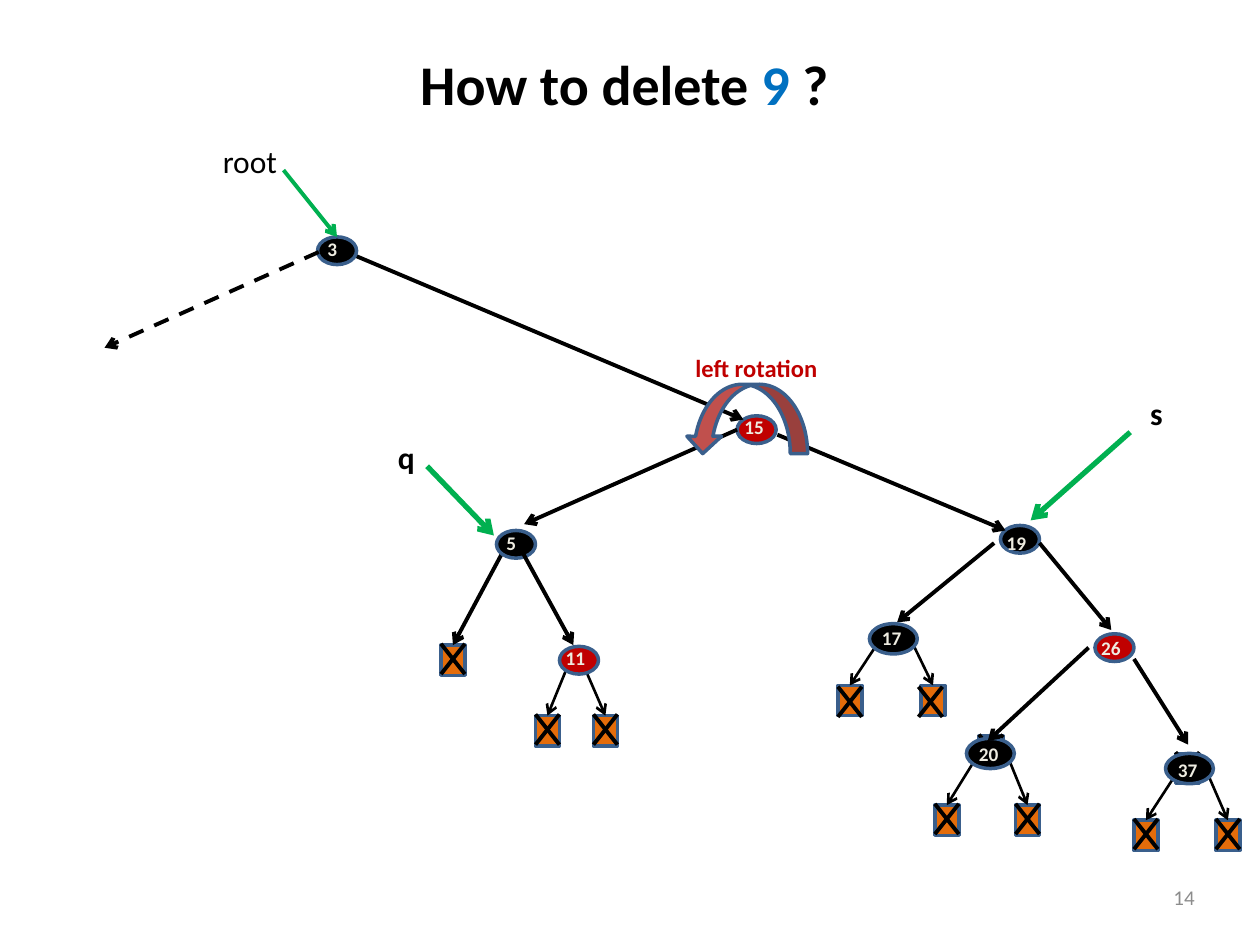
from pptx import Presentation
from pptx import util as u
from pptx.dml.color import RGBColor
from pptx.enum import dml, shapes, text
from pptx.oxml.ns import qn
from lxml import etree

COLORS = {
    "black": "000000", "red": "C00000", "outline": "3A5F8C", "leaf": "E46C0A",
    "label": "EEECE1", "pointer": "00B050", "rotation": "C0504D",
    "key": "0070C0", "page": "8C8C8C",
}
LEAF_W, LEAF_H = 0.19, 0.24

prs = Presentation()
prs.slide_width, prs.slide_height = u.Inches(10), u.Inches(7.5)
slide = prs.slides.add_slide(prs.slide_layouts[6])
rgb = {name: RGBColor.from_string(value) for name, value in COLORS.items()}


def add_line(x1, y1, x2, y2, width=2.25, color="black", arrow=True):
    line = slide.shapes.add_connector(
        shapes.MSO_CONNECTOR.STRAIGHT, *(u.Inches(v) for v in (x1, y1, x2, y2)))
    line.line.color.rgb = rgb[color]
    line.line.width = u.Pt(width)
    if arrow:
        etree.SubElement(line.line._get_or_add_ln(), qn("a:tailEnd"), type="arrow")
    etree.SubElement(line._element.spPr, qn("a:effectLst"))
    return line


def add_outlined(kind, x, y, w, h, fill):
    """Add a preset shape with the blue outline that all tree parts share."""
    shape = slide.shapes.add_shape(kind, *(u.Inches(v) for v in (x, y, w, h)))
    shape.shadow.inherit = False
    shape.fill.solid()
    shape.fill.fore_color.rgb = rgb[fill]
    shape.line.color.rgb = rgb["outline"]
    shape.line.width = u.Pt(2)
    return shape


# Leaves: left, top, cross shift (x, y), start and width of the edge into the leaf
leaves = [
    (4.25, 5.68, 0, -0.01, (4.5, 5.3), 1.5),
    (4.71, 5.68, 0, -0.01, (4.64, 5.3), 1.5),
    (9.33, 5.98, 0, -0.01, None, None),
    (9, 6.51, 0, -0.01, (9.31, 6.18), 1.5),
    (9.65, 6.51, 0, -0.01, (9.58, 6.13), 1.5),
    (7.77, 5.84, 0, -0.01, None, None),
    (7.42, 6.39, 0, -0.01, (7.72, 6.06), 1.5),
    (8.06, 6.39, 0, -0.01, (8, 6.01), 1.5),
    (6.65, 5.44, 0, 0.01, (6.95, 5.13), 1.5),
    (7.31, 5.44, -0.02, 0.01, (7.23, 5.08), 1.5),
    (3.5, 5.12, 0, -0.01, (3.98, 4.4), 2.25),
]
for x, y, dx, dy, start, width in leaves:
    leaf = add_outlined(shapes.MSO_SHAPE.RECTANGLE, x, y, LEAF_W, LEAF_H, "leaf")
    left, top = x + dx, y + dy
    right, bottom = left + LEAF_W, top + LEAF_H
    add_line(right, top, left, bottom, arrow=False)
    add_line(left, top, right, bottom, arrow=False)
    if start:
        edge = add_line(*start, x + LEAF_W / 2, y, width)
        edge.end_connect(leaf, 0)

# Nodes below their outgoing edges
for x, y, fill in [(5.85, 3.3, "red"), (8.69, 5.03, "red"), (7.94, 4.17, "black"),
                   (3.94, 4.21, "black"), (4.44, 5.13, "red")]:
    add_outlined(shapes.MSO_SHAPE.OVAL, x, y, 0.31, 0.22, fill)

for ends in [
    (5.85, 3.41, 4.16, 4.16),   # 15 to 5
    (7.89, 4.31, 7.12, 4.94),   # 19 to 17
    (9, 5.23, 9.43, 5.91),      # 26 to 37
    (4.15, 4.39, 4.55, 5.12),   # 5 to 11
    (8.25, 4.31, 8.82, 5),      # 19 to 26
    (6.17, 3.45, 7.98, 4.21),   # 15 to 19
    (2.75, 2, 5.9, 3.33),       # 3 to 15
]:
    add_line(*ends)

# Nodes above their outgoing edges
for x, y in [(9.25, 5.98), (7.67, 5.86), (6.9, 4.95)]:
    add_outlined(shapes.MSO_SHAPE.OVAL, x, y, 0.38, 0.24, "black")
root = add_outlined(shapes.MSO_SHAPE.OVAL, 2.52, 1.88, 0.31, 0.22, "black")

left_subtree = add_line(2.53, 2, 0.83, 2.76)
left_subtree.line.dash_style = dml.MSO_LINE.DASH
add_line(8.64, 5.14, 7.84, 5.88)    # 26 to 20

rotation = add_outlined(shapes.MSO_SHAPE.CURVED_DOWN_ARROW,
                        5.44, 3.05, 0.97, 0.55, "rotation")
rotation._element.spPr.xfrm.set("flipH", "1")

root_pointer = add_line(2.25, 1.35, 2.67, 1.88, color="pointer")
root_pointer.end_connect(root, 0)
add_line(8.97, 3.43, 8.18, 4.13, 3, "pointer")
add_line(3.39, 3.7, 3.92, 4.25, 3, "pointer")

# Texts: left, top, width, height, size, bold, alignment, wrap, runs
LEFT, CENTER, RIGHT = text.PP_ALIGN.LEFT, text.PP_ALIGN.CENTER, text.PP_ALIGN.RIGHT
texts = [
    (0.08, 0.3, 9.75, 1.25, 32, True, CENTER, True,
     [("How to delete ", "black"), ("9 ", "key"), ("?", "black")]),
    (7.25, 6.92, 2.33, 0.4, 12, False, RIGHT, True, [("14", "page")]),
    (1.67, 1.08, 0.64, 0.4, 18, False, LEFT, False, [("root", "black")]),
    (5.42, 2.75, 1.18, 0.34, 14, True, LEFT, False, [("left rotation", "red")]),
    (9.03, 3.08, 0.3, 0.4, 18, True, LEFT, False, [("s", "black")]),
    (3.06, 3.43, 0.34, 0.4, 18, True, LEFT, False, [("q", "black")]),
]
node_labels = [
    ("15", 5.81, 3.25, 0.36), ("26", 8.64, 5, 0.36), ("11", 4.39, 5.08, 0.36),
    ("5", 3.92, 4.17, 0.28), ("19", 7.89, 4.17, 0.36), ("37", 9.25, 5.97, 0.43),
    ("20", 7.67, 5.84, 0.43), ("17", 6.9, 4.92, 0.43), ("3", 2.5, 1.83, 0.28),
]
texts += [(x, y, w, 0.29, 11, True, LEFT, w == 0.43, [(key, "label")])
          for key, x, y, w in node_labels]

boxes = []
for x, y, w, h, size, bold, align, wrap, runs in texts:
    box = slide.shapes.add_textbox(*(u.Inches(v) for v in (x, y, w, h)))
    frame = box.text_frame
    frame.word_wrap = wrap
    paragraph = frame.paragraphs[0]
    paragraph.alignment = align
    for words, color in runs:
        run = paragraph.add_run()
        run.text = words
        run.font.name = "Calibri"
        run.font.size = u.Pt(size)
        run.font.bold = bold
        run.font.color.rgb = rgb[color]
    boxes.append(frame)

title, page_number = boxes[:2]
title.margin_top = u.Inches(0.09)
page_number.vertical_anchor = text.MSO_ANCHOR.MIDDLE

prs.save("out.pptx")
